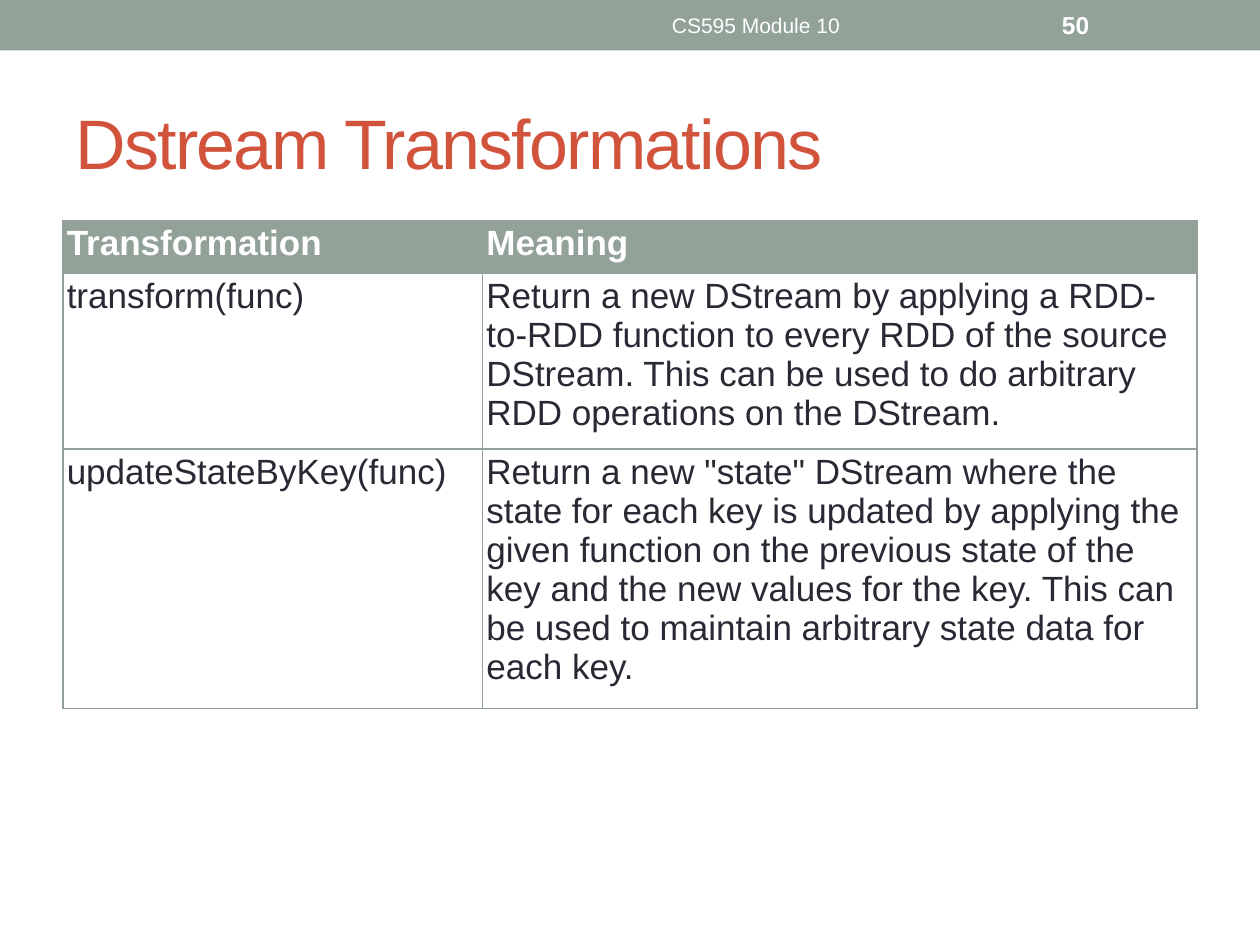
from lxml import etree
from pptx import Presentation
from pptx.dml.color import RGBColor
from pptx.enum.shapes import MSO_SHAPE
from pptx.enum.text import MSO_ANCHOR, PP_ALIGN
from pptx.oxml.ns import qn
from pptx.util import Inches, Pt

RECT = MSO_SHAPE.RECTANGLE
MIDDLE = MSO_ANCHOR.MIDDLE
LEFT, CENTER = PP_ALIGN.LEFT, PP_ALIGN.CENTER

SAGE = RGBColor(0x93, 0xA2, 0x99)
RUST = RGBColor(0xD2, 0x53, 0x3C)
INK = RGBColor(0x29, 0x29, 0x34)
WHITE = RGBColor(0xFF, 0xFF, 0xFF)
FONT = "Arial"

# Content
TITLE = "Dstream Transformations"
# text, left, width, size, bold, alignment
BANNER = [
    ("CS595 Module 10", 3.75, 4.5, 12, False, CENTER),
    ("50", 8.33, 1.17, 14, True, LEFT),
]
ROWS = [
    ("Transformation", "Meaning"),
    ("transform(func)",
     "Return a new DStream by applying a RDD-to-RDD function to every RDD of "
     "the source DStream. This can be used to do arbitrary RDD operations on "
     "the DStream."),
    ("updateStateByKey(func)",
     'Return a new "state" DStream where the state for each key is updated by '
     "applying the given function on the previous state of the key and the new "
     "values for the key. This can be used to maintain arbitrary state data "
     "for each key."),
]
COL_WIDTHS = [3.33, 5.67]
ROW_HEIGHTS = [0.42, 1.3, 1.91]


def add_text(tf, text, size, color, bold=False, align=LEFT):
    p = tf.paragraphs[0]
    p.alignment = align
    r = p.add_run()
    r.text = text
    r.font.name = FONT
    r.font.size = Pt(size)
    r.font.bold = bold
    r.font.color.rgb = color
    return r


def add_borders(cell, color, width):
    tcPr = cell._tc.get_or_add_tcPr()
    for side in ("lnL", "lnR", "lnT", "lnB"):
        ln = etree.SubElement(tcPr, qn("a:" + side), w=str(Pt(width)))
        fill = etree.SubElement(ln, qn("a:solidFill"))
        etree.SubElement(fill, qn("a:srgbClr"), val=str(color))


prs = Presentation()
prs.slide_width, prs.slide_height = Inches(10), Inches(7.5)
s = prs.slides.add_slide(prs.slide_layouts[5])

# Top banner
sp = s.shapes.add_shape(RECT, 0, 0, prs.slide_width, Inches(0.4))
sp.shadow.inherit = False
sp.fill.solid()
sp.fill.fore_color.rgb = SAGE
sp.line.fill.background()
for text, left, width, size, bold, align in BANNER:
    box = s.shapes.add_textbox(Inches(left), Inches(0.02), Inches(width), Inches(0.36))
    tf = box.text_frame
    tf.word_wrap = True
    tf.vertical_anchor = MIDDLE
    add_text(tf, text, size, WHITE, bold, align)

# Title
title = s.shapes.title
title.left, title.top = Inches(0.5), Inches(0.58)
title.width, title.height = Inches(9), Inches(1.08)
title.text_frame.vertical_anchor = MIDDLE
r = add_text(title.text_frame, TITLE, 40, RUST)
r.font._element.set("spc", "-100")

# Table
table = s.shapes.add_table(
    len(ROWS), len(COL_WIDTHS), Inches(0.5), Inches(1.75),
    Inches(sum(COL_WIDTHS)), Inches(sum(ROW_HEIGHTS))).table
table.horz_banding = False
for col, width in zip(table.columns, COL_WIDTHS):
    col.width = Inches(width)
for i, (row, texts) in enumerate(zip(table.rows, ROWS)):
    row.height = Inches(ROW_HEIGHTS[i])
    header = i == 0
    for cell, text in zip(row.cells, texts):
        cell.margin_left = cell.margin_right = Inches(0.03)
        cell.margin_top = cell.margin_bottom = Inches(0.03)
        add_borders(cell, SAGE, 0.75)
        if header:
            cell.fill.solid()
            cell.fill.fore_color.rgb = SAGE
        else:
            cell.fill.background()
        add_text(cell.text_frame, text, 20, WHITE if header else INK, header)

prs.save("out.pptx")
